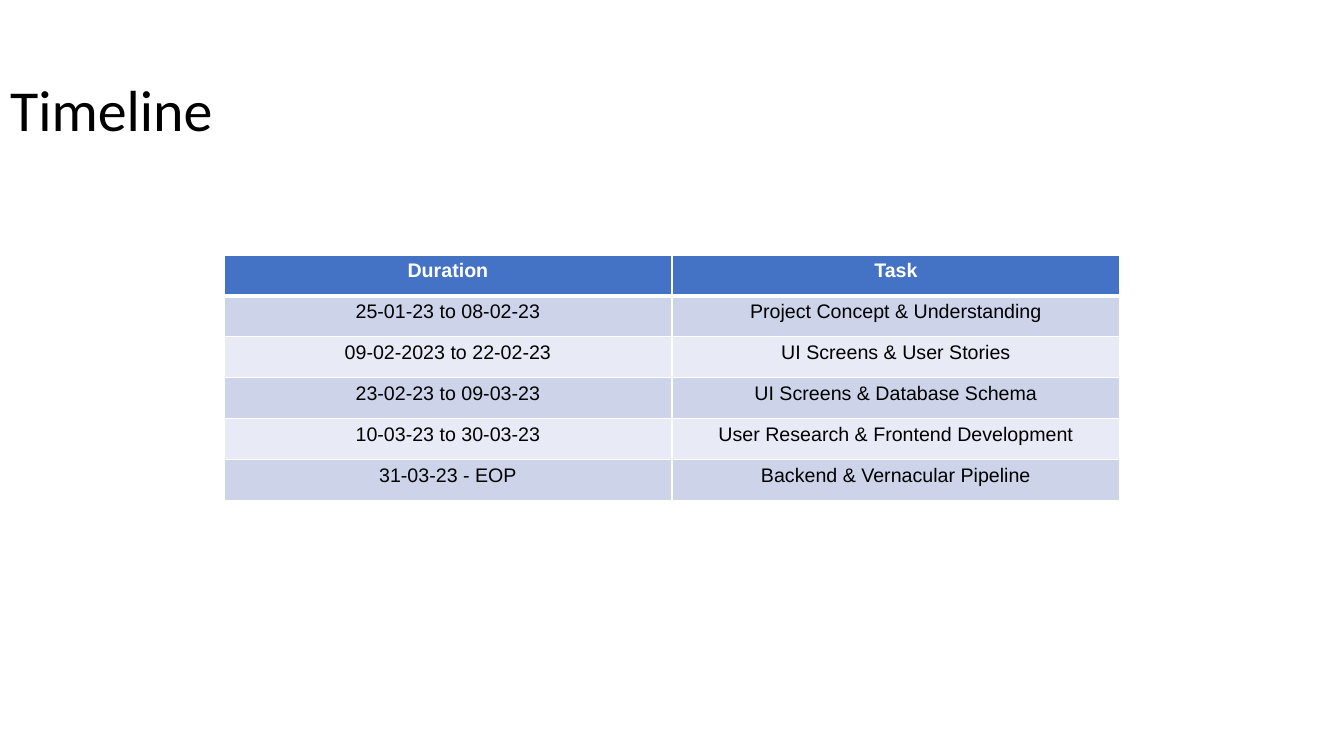
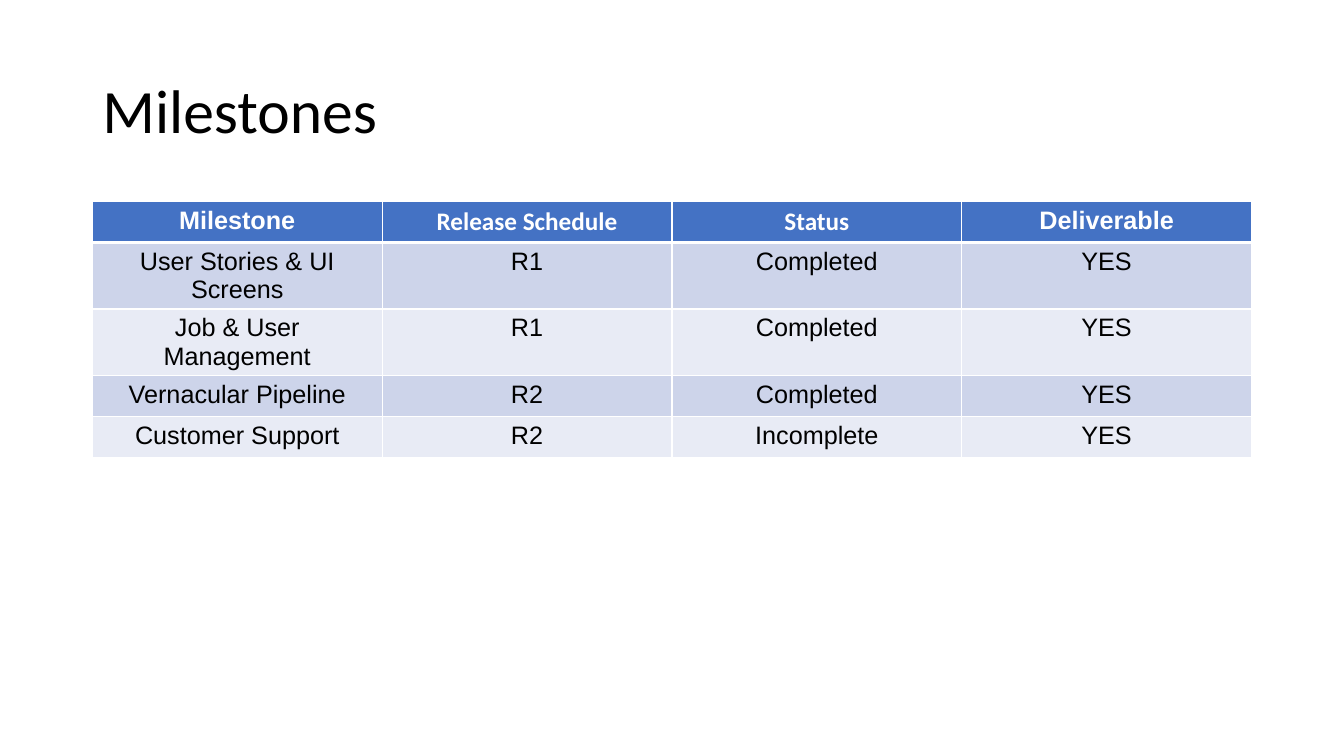
"""Build the project timeline and milestones slides."""
from dataclasses import dataclass

from lxml.etree import SubElement
from pptx import Presentation
from pptx.dml.color import RGBColor
from pptx.enum.text import MSO_ANCHOR as Anchor, MSO_AUTO_SIZE as AutoSize, PP_ALIGN as Align
from pptx.oxml.ns import qn
from pptx.presentation import Presentation as Deck
from pptx.slide import Slide
from pptx.table import _Cell as Cell
from pptx.text.text import _Paragraph as Paragraph
from pptx.util import Pt

COLORS = {
    "text": "000000",
    "header_text": "FFFFFF",
    "header": "4472C4",
    "band_dark": "CDD4EA",
    "band_light": "E8EBF5",
    "border": "FFFFFF",
}
TITLE_FONT, BODY_FONT = "Calibri", "Arial"
THIN, THICK = 0.96, 3


@dataclass(frozen=True)
class Box:
    left: float
    top: float
    width: float
    height: float


@dataclass(frozen=True)
class Schedule:
    title: str
    title_box: Box
    title_size: float
    left: float
    top: float
    column_width: float
    row_heights: tuple[float, ...]
    text_size: float
    header_fonts: tuple[str, ...]
    rows: tuple[tuple[str, ...], ...]


SCHEDULES = (
    Schedule(
        title="Timeline",
        title_box=Box(0, 54.5, 960, 52),
        title_size=41.4,
        left=160,
        top=182.2,
        column_width=320,
        row_heights=(29.2,) * 6,
        text_size=14,
        header_fonts=(BODY_FONT, BODY_FONT),
        rows=(
            ("Duration", "Task"),
            ("25-01-23 to 08-02-23", "Project Concept & Understanding"),
            ("09-02-2023 to 22-02-23", "UI Screens & User Stories"),
            ("23-02-23 to 09-03-23", "UI Screens & Database Schema"),
            ("10-03-23 to 30-03-23", "User Research & Frontend Development"),
            ("31-03-23 - EOP", "Backend & Vernacular Pipeline"),
        ),
    ),
    Schedule(
        title="Milestones",
        title_box=Box(66, 28.8, 828, 104.4),
        title_size=44,
        left=66,
        top=144,
        column_width=207,
        row_heights=(29.2, 47.5, 47.5, 29.2, 29.2),
        text_size=18,
        header_fonts=(BODY_FONT, TITLE_FONT, TITLE_FONT, BODY_FONT),
        rows=(
            ("Milestone", "Release Schedule", "Status", "Deliverable"),
            ("User Stories & UI Screens", "R1", "Completed", "YES"),
            ("Job & User Management", "R1", "Completed", "YES"),
            ("Vernacular Pipeline", "R2", "Completed", "YES"),
            ("Customer Support", "R2", "Incomplete", "YES"),
        ),
    ),
)


def style_text(paragraph: Paragraph, font_name: str, size: float, color: str, bold: bool = False) -> None:
    for run in paragraph.runs:
        run.font.name = font_name
        run.font.size = Pt(size)
        run.font.bold = bold
        run.font.color.rgb = RGBColor.from_string(COLORS[color])


def add_borders(cell: Cell, top: float, bottom: float) -> None:
    properties = cell._tc.get_or_add_tcPr()
    for side, width in (("L", THIN), ("R", THIN), ("T", top), ("B", bottom)):
        border = SubElement(properties, qn(f"a:ln{side}"), w=str(int(Pt(width))))
        fill = SubElement(border, qn("a:solidFill"))
        SubElement(fill, qn("a:srgbClr"), val=COLORS["border"])


def add_title(slide: Slide, schedule: Schedule) -> None:
    heading, box = slide.shapes.title, schedule.title_box
    heading.left, heading.top = Pt(box.left), Pt(box.top)
    heading.width, heading.height = Pt(box.width), Pt(box.height)
    frame = heading.text_frame
    frame.text = schedule.title
    frame.word_wrap = True
    frame.auto_size = AutoSize.NONE
    frame.vertical_anchor = Anchor.MIDDLE
    paragraph = frame.paragraphs[0]
    paragraph.alignment = Align.LEFT
    paragraph.line_spacing = 0.9
    style_text(paragraph, TITLE_FONT, schedule.title_size, "text")


def fill_cell(cell: Cell, schedule: Schedule, row: int, column: int) -> None:
    is_header = row == 0
    add_borders(cell, THICK if row == 1 else THIN, THICK if is_header else THIN)
    band = "header" if is_header else "band_dark" if row % 2 else "band_light"
    cell.fill.solid()
    cell.fill.fore_color.rgb = RGBColor.from_string(COLORS[band])
    cell.text_frame.text = schedule.rows[row][column]
    paragraph = cell.text_frame.paragraphs[0]
    paragraph.alignment = Align.CENTER
    font_name = schedule.header_fonts[column] if is_header else BODY_FONT
    color = "header_text" if is_header else "text"
    style_text(paragraph, font_name, schedule.text_size, color, is_header)


def add_schedule_table(slide: Slide, schedule: Schedule) -> None:
    row_count, column_count = len(schedule.rows), len(schedule.rows[0])
    grid = slide.shapes.add_table(
        row_count, column_count, Pt(schedule.left), Pt(schedule.top),
        Pt(schedule.column_width * column_count), Pt(sum(schedule.row_heights)),
    ).table
    for column in grid.columns:
        column.width = Pt(schedule.column_width)
    for row, height in enumerate(schedule.row_heights):
        grid.rows[row].height = Pt(height)
        for column in range(column_count):
            fill_cell(grid.cell(row, column), schedule, row, column)


def add_schedule_slide(deck: Deck, schedule: Schedule) -> None:
    slide = deck.slides.add_slide(deck.slide_layouts.get_by_name("Title Only"))
    add_title(slide, schedule)
    add_schedule_table(slide, schedule)


def main() -> None:
    deck = Presentation()
    deck.slide_width, deck.slide_height = Pt(960), Pt(540)
    for schedule in SCHEDULES:
        add_schedule_slide(deck, schedule)
    deck.save("out.pptx")


if __name__ == "__main__":
    main()
